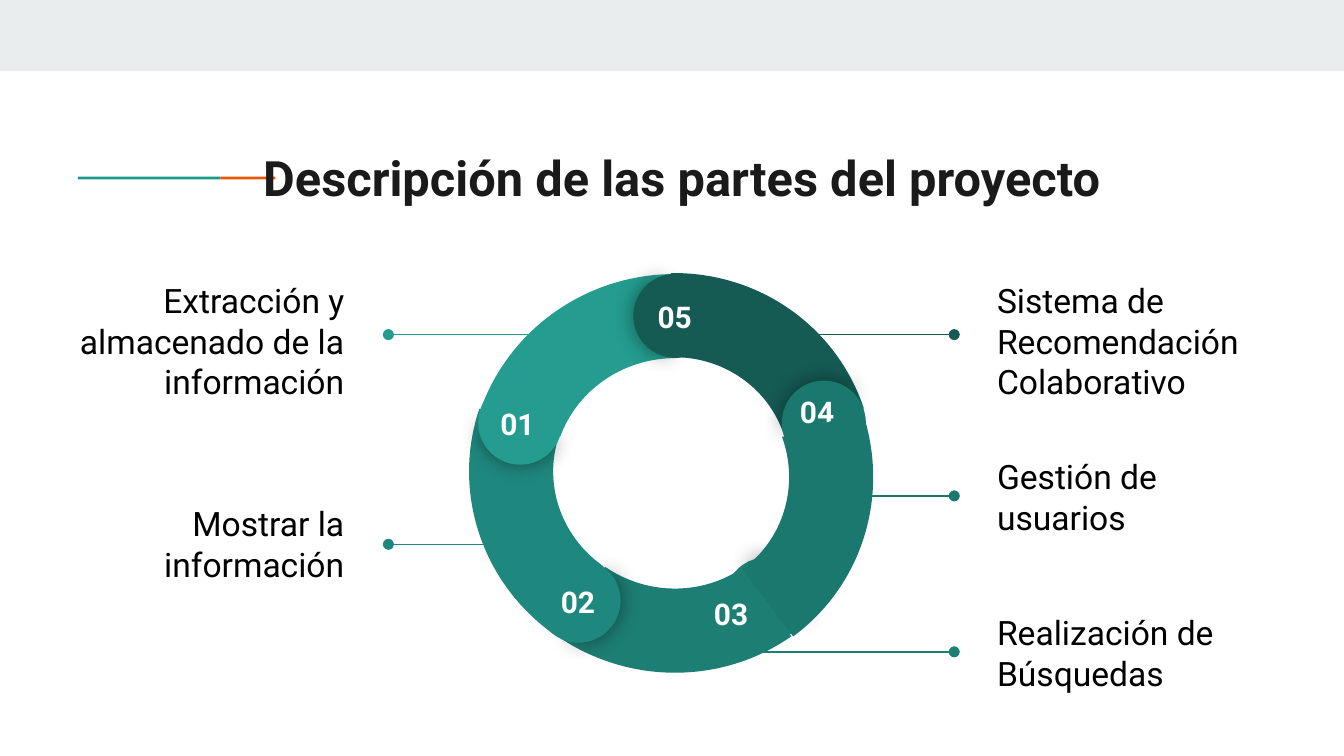
from pptx import Presentation
from pptx.util import Inches, Pt
from pptx.dml.color import RGBColor as Rgb
from pptx.enum.shapes import MSO_SHAPE as Geo, MSO_CONNECTOR as Link
from pptx.enum.text import PP_ALIGN as Al, MSO_ANCHOR as Anc
from pptx.oxml import parse_xml
from pptx.oxml.ns import qn, nsdecls

# Content
TITLE = "Descripción de las partes del proyecto"
HUES = {
    "band": "E9EDEE", "mint": "1A9988", "rust": "EB5600",
    "ink": "1A1A1A", "text": "000000", "white": "FFFFFF",
    "01": "249C90", "02": "1F887E", "03": "1D7E74",
    "04": "1B786E", "05": "155B54",
}
FONT = "Roboto"

# Grid: 100 columns over the width, rows of the same size
COLS, ROWS = 100, 56.25
CELL = Inches(10) / COLS
MID = 50

# part, side, text, text top, line row, line start column
NOTES = [
    ("01", "left", "Extracción y almacenado de la información", 20.4, 24.9, 42.3),
    ("02", "left", "Mostrar la información", 35.5, 40.5, 39.1),
    ("03", "right", "Realización de Búsquedas", 43.6, 48.5, 50.9),
    ("05", "right", "Sistema de Recomendación Colaborativo", 20.4, 24.9, 57),
    ("04", "right", "Gestión de usuarios", 32, 36.9, 61.4),
]
# side: text left, line end, alignment
SIDES = {"left": (3.4, 28.9, Al.RIGHT), "right": (73.2, 71, Al.LEFT)}

# part: centre column, centre row, turn
ARCS = {
    "01": (50.1, 35.3, 350), "02": (50.1, 35.15, 277), "03": (50, 35.1, 204),
    "04": (49.9, 35.2, 132), "05": (49.9, 35.3, 60),
}
CAPS = {
    "01": (38.7, 31.45, 284.1), "02": (43.05, 44.7, 211.1),
    "03": (57.05, 44.6, 139.1), "04": (61.3, 31.45, 67.1),
    "05": (50.25, 23.5, 357.1),
}
TAGS = {
    "05": (47.4, 21.2), "01": (35.7, 29.2), "02": (40.2, 42.4),
    "03": (51.6, 43.3), "04": (58, 28.3),
}
# Back to front
RING = [("arc", "02"), ("arc", "05"), ("cap", "04"), ("arc", "03"),
        ("cap", "02"), ("arc", "01"), ("cap", "05"), ("cap", "03"),
        ("cap", "01"), ("tags", ""), ("arc", "04")]

deck = Presentation()
deck.slide_width, deck.slide_height = round(CELL * COLS), round(CELL * ROWS)
slide = deck.slides.add_slide(deck.slide_layouts[6])
shapes = slide.shapes


def grid(*nums):
    return [round(CELL * n) for n in nums]


def hue(key):
    return Rgb.from_string(HUES[key])


def draw(geo, box, key, turn=0, adj=()):
    shape = shapes.add_shape(geo, *grid(*box))
    shape.shadow.inherit = False
    shape.fill.solid()
    shape.fill.fore_color.rgb = hue(key)
    shape.line.fill.background()
    shape.rotation = turn % 360
    for i, val in enumerate(adj):
        shape.adjustments[i] = val
    return shape


def write(text, box, size, key, align=Al.LEFT, bold=False, anchor=Anc.TOP):
    frame = shapes.add_textbox(*grid(*box)).text_frame
    frame.word_wrap = True
    frame.vertical_anchor = anchor
    frame.margin_left = frame.margin_right = Inches(0.1)
    frame.margin_top = frame.margin_bottom = Inches(0.1)
    para = frame.paragraphs[0]
    para.alignment = align
    run = para.add_run()
    run.text = text
    font = run.font
    font.name, font.size, font.bold = FONT, Pt(size), bold
    font.color.rgb = hue(key)


def lead(start, end, row, key):
    line = shapes.add_connector(Link.STRAIGHT, *grid(start, row, end, row))
    line.line.color.rgb = hue(key)
    line.line.width = Pt(0.75)
    line.line._get_or_add_ln().append(
        parse_xml(f'<a:tailEnd {nsdecls("a")} type="oval"/>'))
    line._element.spPr.append(parse_xml(f'<a:effectLst {nsdecls("a")}/>'))


def glow(shape):
    effect = shape._element.spPr.find(qn("a:effectLst"))
    effect.append(parse_xml(
        f'<a:outerShdw {nsdecls("a")} blurRad="{Pt(11.2)}" dist="0" dir="0" '
        'algn="ctr" rotWithShape="0"><a:srgbClr val="000000">'
        '<a:alpha val="43000"/></a:srgbClr></a:outerShdw>'))


def arc(part):
    x, y, turn = ARCS[part]
    wide, high = 30.4, 29.8
    if 45 <= turn % 180 <= 135:
        wide, high = high, wide
    first = 125.13 if part == "01" else 126.03
    draw(Geo.BLOCK_ARC, (x - wide / 2, y - high / 2, wide, high), part, turn,
         (first, 168.68, 0.21))


def cap(part):
    x, y, turn = CAPS[part]
    size = 6.25
    box = (x - size / 2, y - size / 2, size, size)
    glow(draw(Geo.PIE, box, part, turn, (61.9, 149.96)))
    draw(Geo.PIE, box, part, turn + 179.3, (40.28, 171.84))


def tags(_):
    for num, (x, y) in TAGS.items():
        write(num, (x, y, 5.6, 2.9), 16, "white", Al.CENTER, True)


# Top band and title rule
draw(Geo.RECTANGLE, (0, 0, COLS, 5.3), "band")
draw(Geo.RECTANGLE, (5.8, 13.15, 10.6, 0.2), "mint")
draw(Geo.RECTANGLE, (16.4, 13.15, 4.1, 0.2), "rust")

# Notes with their lines
for part, side, text, top, row, start in NOTES:
    left, end, align = SIDES[side]
    lead(start, end, row, part)
    write(text, (left, top, 23.2, 9.9), 18, "text", align, anchor=Anc.MIDDLE)

# Title
write(TITLE, (18.6, 10, 69.5, 5.9), 26.1, "ink", bold=True)

# Ring
MAKE = {"arc": arc, "cap": cap, "tags": tags}
for kind, part in RING:
    MAKE[kind](part)

deck.save("out.pptx")
